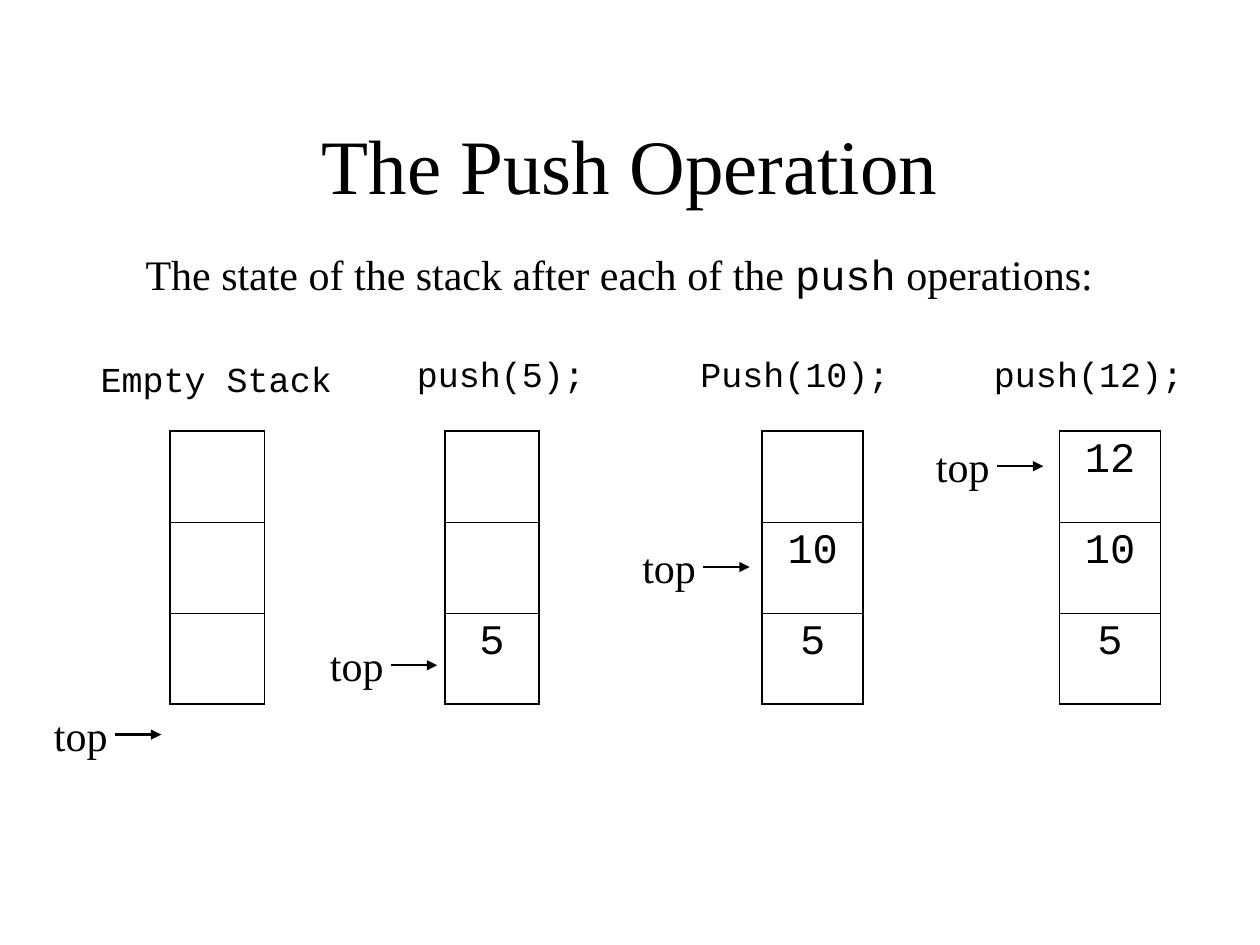
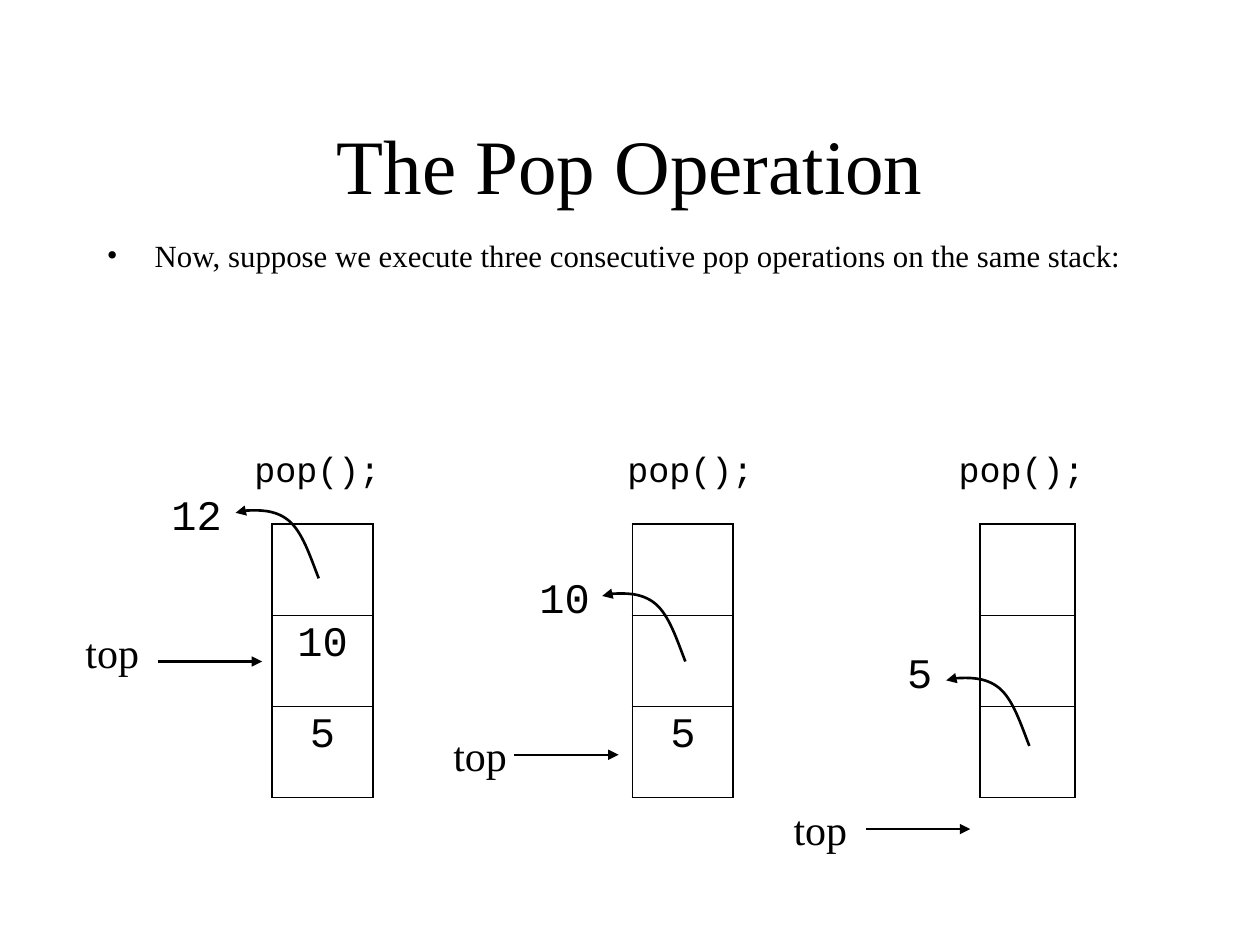
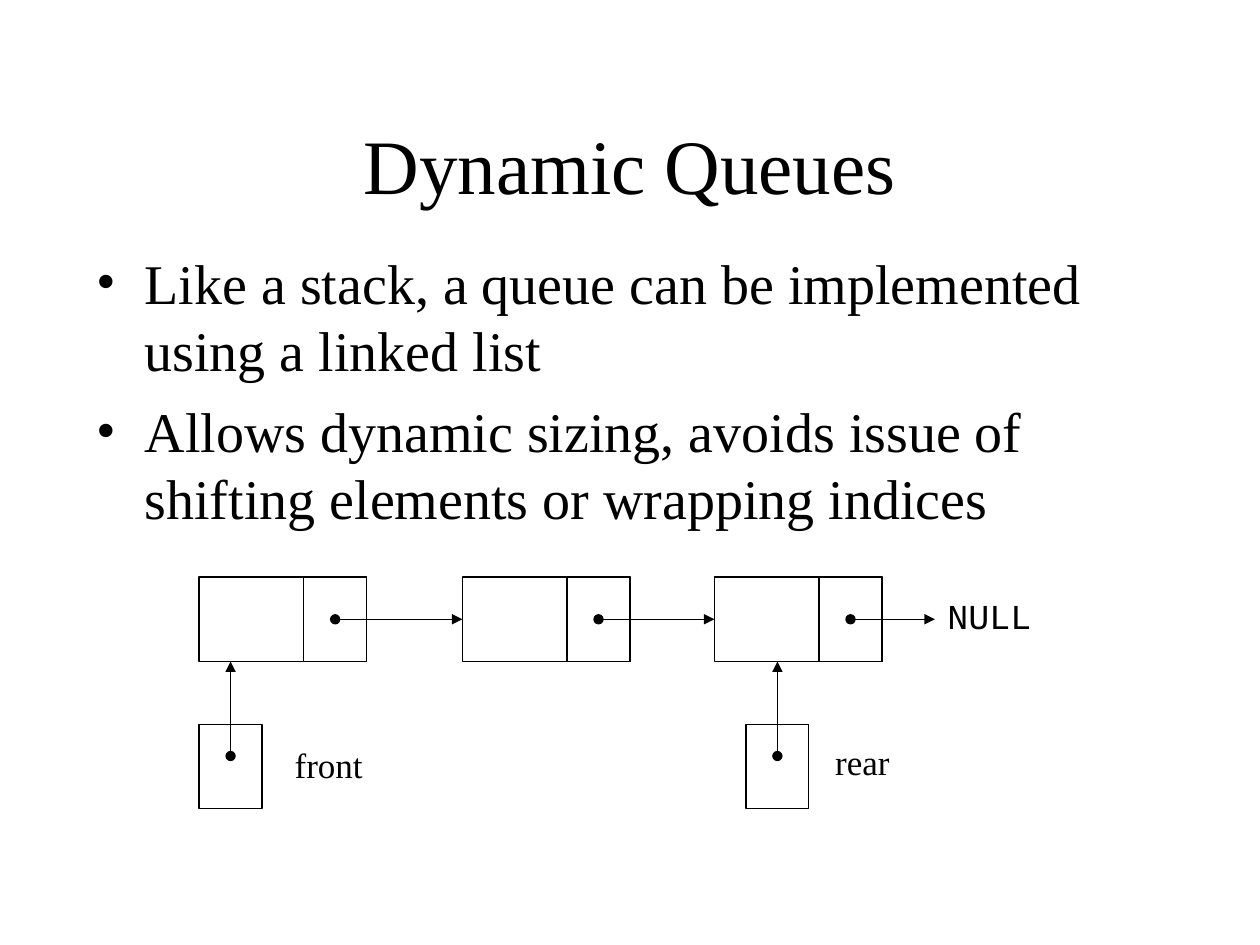
"""Build three slides on stack push, stack pop and linked queues."""
from dataclasses import dataclass

from lxml import etree
from pptx import Presentation
from pptx.dml.color import RGBColor
from pptx.enum.shapes import MSO_CONNECTOR, MSO_SHAPE
from pptx.enum.text import MSO_ANCHOR, MSO_AUTO_SIZE, PP_ALIGN
from pptx.oxml.ns import qn
from pptx.util import Inches, Pt

LEFT, MID = PP_ALIGN.LEFT, PP_ALIGN.CENTER
TOP, MIDDLE = MSO_ANCHOR.TOP, MSO_ANCHOR.MIDDLE
GROW, FIXED = MSO_AUTO_SIZE.SHAPE_TO_FIT_TEXT, MSO_AUTO_SIZE.NONE
RECT, LINE = MSO_SHAPE.RECTANGLE, MSO_CONNECTOR.STRAIGHT
COLORS = {"ink": "000000", "page": "FFFFFF"}
SERIF, MONO = "Times New Roman", "Courier New"
TALL = 2.17
THICK, THIN = 1.08, 0.45
BEND = [(-0.07, -0.18), (-0.13, -0.37), (-0.24, -0.46),
        (-0.35, -0.55), (-0.65, -0.55), (-0.66, -0.52)]
NODE_Y, NODE_W, NODE_H, PART = 4.58, 1.33, 0.67, 0.5
BOX_Y = 5.75


@dataclass
class Stack:
    x: float
    wide: float
    cells: tuple
    call: str
    call_x: float
    call_y: float


@dataclass
class Mark:
    x: float
    y: float
    gap: float = 0.58
    span: float = 0.37
    drop: float = 0.25


@dataclass
class Popped:
    text: str
    x: float
    y: float
    from_x: float
    from_y: float


@dataclass
class Ref:
    text: str
    x: float
    text_x: float
    text_y: float
    wide: float


PUSHES = [
    Stack(1.35, 0.75, ("", "", ""), "Empty Stack", 0.7, 2.79),
    Stack(3.53, 0.75, ("", "", "5"), "push(5);", 3.21, 2.75),
    Stack(6.05, 0.8, ("", "10", "5"), "Push(10);", 5.46, 2.75),
    Stack(8.41, 0.8, ("12", "10", "5"), "push(12);", 7.79, 2.75),
]
PUSH_TOPS = [Mark(0.33, 5.58), Mark(2.52, 5.03), Mark(5, 4.25), Mark(7.33, 3.45)]
POPS = [
    Stack(2.16, 0.8, ("", "10", "5"), "pop();", 1.92, 3.5),
    Stack(5.02, 0.8, ("", "", "5"), "pop();", 4.88, 3.5),
    Stack(7.78, 0.75, ("", "", ""), "pop();", 7.51, 3.5),
]
POP_TOPS = [
    Mark(0.58, 4.92, 0.67, 0.83, 0.33),
    Mark(3.5, 5.74, 0.58, 0.83),
    Mark(6.2, 6.33, 0.67, 0.83),
]
OUT = [
    Popped("12", 1.25, 3.83, 2.53, 4.59),
    Popped("10", 4.17, 4.49, 5.44, 5.25),
    Popped("5", 7.09, 5.08, 8.17, 5.92),
]
NODES = [1.58, 3.67, 5.67]
REFS = [Ref("front", 1.58, 2.24, 5.85, 0.74), Ref("rear", 5.92, 6.53, 5.83, 0.63)]


def ink() -> RGBColor:
    return RGBColor.from_string(COLORS["ink"])


def put(frame, text: str, *, size: float = 24, font: str = SERIF,
        align=LEFT, before: float = 0, bullet: bool = False) -> None:
    """Fill a frame: newlines part paragraphs, backticks mark code."""
    for i, line in enumerate(text.split("\n")):
        para = frame.add_paragraph() if i else frame.paragraphs[0]
        para.alignment = align
        para.space_before = Pt(before)
        if bullet:
            props = para._p.get_or_add_pPr()
            props.set("marL", str(Inches(0.38)))
            props.set("indent", str(-Inches(0.38)))
            etree.SubElement(props, qn("a:buFont"), typeface=font)
            etree.SubElement(props, qn("a:buChar"), char="•")
        for j, part in enumerate(line.split("`")):
            run = para.add_run()
            run.text = part
            run.font.name = MONO if j % 2 else font
            run.font.size = Pt(size)
            run.font.color.rgb = ink()


def write(slide, text: str, x: float, y: float, w: float, h: float, *,
          wrap: bool = True, fit=GROW, anchor=TOP, **form) -> None:
    box = slide.shapes.add_textbox(Inches(x), Inches(y), Inches(w), Inches(h))
    frame = box.text_frame
    frame.word_wrap = wrap
    frame.auto_size = fit
    frame.vertical_anchor = anchor
    put(frame, text, **form)


def code(slide, text: str, x: float, y: float, *, size: float = 20, align=LEFT) -> None:
    """Write monospaced text in a box just wider than its letters."""
    wide = len(text) * size * 0.6 / 72 + 0.22
    write(slide, text, x, y, wide, size / 60 + 0.1, wrap=False,
          size=size, font=MONO, align=align)


def style(shape, width: float, head: str = "", tail: str = "") -> None:
    """Set the stroke of a line or outline and its arrowheads."""
    shape.line.color.rgb = ink()
    shape.line.width = Pt(width)
    stroke = shape.line._get_or_add_ln()
    for tag, kind in (("a:headEnd", head), ("a:tailEnd", tail)):
        if kind:
            etree.SubElement(stroke, qn(tag), type=kind)


def arrow(slide, x1: float, y1: float, x2: float, y2: float, *,
          width: float = 1.25, head: str = "", goal=None) -> None:
    line = slide.shapes.add_connector(LINE, Inches(x1), Inches(y1), Inches(x2), Inches(y2))
    if goal is not None:
        line.end_connect(goal, 1)
    style(line, width, head, "triangle")
    etree.SubElement(line._element.spPr, qn("a:effectLst"))


def rect(slide, x: float, y: float, w: float, h: float):
    shape = slide.shapes.add_shape(RECT, Inches(x), Inches(y), Inches(w), Inches(h))
    shape.shadow.inherit = False
    shape.fill.background()
    style(shape, 0.75)
    return shape


def edge(cell, first: bool, last: bool) -> None:
    """Draw a cell's borders, thin between the rows."""
    widths = {"a:lnL": THICK, "a:lnR": THICK,
              "a:lnT": THICK if first else THIN, "a:lnB": THICK if last else THIN}
    props = cell._tc.get_or_add_tcPr()
    for i, (tag, width) in enumerate(widths.items()):
        side = etree.Element(qn(tag), w=str(Pt(width)))
        fill = etree.SubElement(side, qn("a:solidFill"))
        etree.SubElement(fill, qn("a:srgbClr"), val=COLORS["ink"])
        props.insert(i, side)


def stack(slide, item: Stack, y: float) -> None:
    count = len(item.cells)
    table = slide.shapes.add_table(count, 1, Inches(item.x), Inches(y),
                                   Inches(item.wide), Inches(TALL)).table
    table.first_row = table.horz_banding = False
    for i, text in enumerate(item.cells):
        cell = table.cell(i, 0)
        cell.fill.background()
        edge(cell, i == 0, i == count - 1)
        if text:
            put(cell.text_frame, text, font=MONO, align=MID)
    code(slide, item.call, item.call_x, item.call_y)


def mark(slide, item: Mark) -> None:
    x, y = item.x + item.gap, item.y + item.drop
    arrow(slide, x, y, x + item.span, y)
    write(slide, "top", item.x, item.y, 0.67, 0.5)


def popped(slide, item: Popped) -> None:
    """Show a popped value and the curve that leads to it."""
    code(slide, item.text, item.x, item.y, size=24, align=MID)
    pen = slide.shapes.build_freeform(Inches(item.from_x), Inches(item.from_y))
    pen.add_line_segments([(Inches(item.from_x + dx), Inches(item.from_y + dy))
                           for dx, dy in BEND], close=False)
    curve = pen.convert_to_shape()
    curve.shadow.inherit = False
    curve.fill.background()
    route = curve._element.xpath(".//a:path")[0]
    legs = route.findall(qn("a:lnTo"))
    for i in range(0, len(legs), 3):
        bend = etree.SubElement(route, qn("a:cubicBezTo"))
        for leg in legs[i:i + 3]:
            bend.append(leg[0])
            route.remove(leg)
    style(curve, 1.5, tail="triangle")


def start(deck, title: str):
    slide = deck.slides.add_slide(deck.slide_layouts[6])
    slide.background.fill.solid()
    slide.background.fill.fore_color.rgb = RGBColor.from_string(COLORS["page"])
    write(slide, title, 0.75, 0.67, 8.5, 1.25, fit=FIXED, anchor=MIDDLE,
          size=44, align=MID)
    return slide


def push(deck) -> None:
    slide = start(deck, "The Push Operation")
    write(slide, "The state of the stack after each of the `push` operations:",
          0.5, 1.92, 8.83, 0.5, align=MID, before=15)
    for item in PUSHES:
        stack(slide, item, 3.42)
    for item in PUSH_TOPS:
        mark(slide, item)


def pop(deck) -> None:
    slide = start(deck, "The Pop Operation")
    write(slide, "Now, suppose we execute three consecutive pop operations on the same stack:",
          0.75, 1.83, 8.5, 0.75, fit=FIXED, size=17.6, before=8, bullet=True)
    for item in POPS:
        stack(slide, item, 4.16)
    for item in POP_TOPS:
        mark(slide, item)
    for item in OUT:
        popped(slide, item)


def queue(deck) -> None:
    slide = start(deck, "Dynamic Queues")
    write(slide, "Like a stack, a queue can be implemented using a linked list\n"
          "Allows dynamic sizing, avoids issue of shifting elements or wrapping indices",
          0.67, 1.92, 8.5, 4.5, fit=FIXED, size=32, before=8, bullet=True)
    nodes = []
    for x in NODES:
        nodes.append(rect(slide, x, NODE_Y, NODE_W, NODE_H))
        rect(slide, x + NODE_W - PART, NODE_Y, PART, NODE_H)
    y = NODE_Y + NODE_H / 2
    for x, end, goal in zip(NODES, NODES[1:] + [7.42], nodes[1:] + [None]):
        arrow(slide, x + NODE_W - PART / 2, y, end, y, width=0.75, head="oval", goal=goal)
    for ref in REFS:
        rect(slide, ref.x, BOX_Y, PART, NODE_H)
        mid = ref.x + PART / 2
        arrow(slide, mid, BOX_Y + 0.25, mid, NODE_Y + NODE_H, width=0.75, head="oval")
        write(slide, ref.text, ref.text_x, ref.text_y, ref.wide, 0.44, wrap=False, size=20)
    code(slide, "NULL", 7.42, 4.67)


def main() -> None:
    deck = Presentation()
    deck.slide_width, deck.slide_height = Inches(10), Inches(7.5)
    for build in (push, pop, queue):
        build(deck)
    deck.save("out.pptx")


if __name__ == "__main__":
    main()
